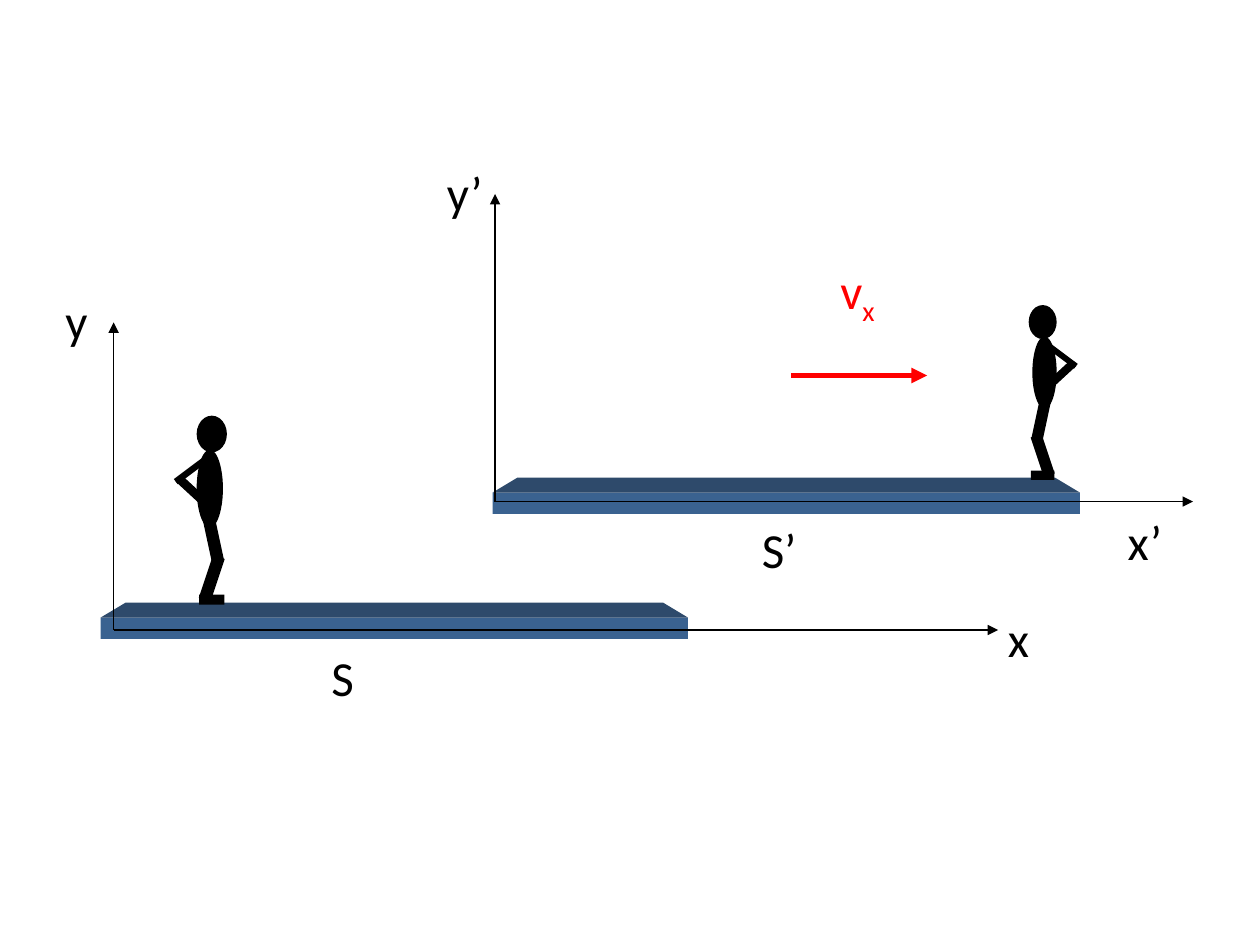
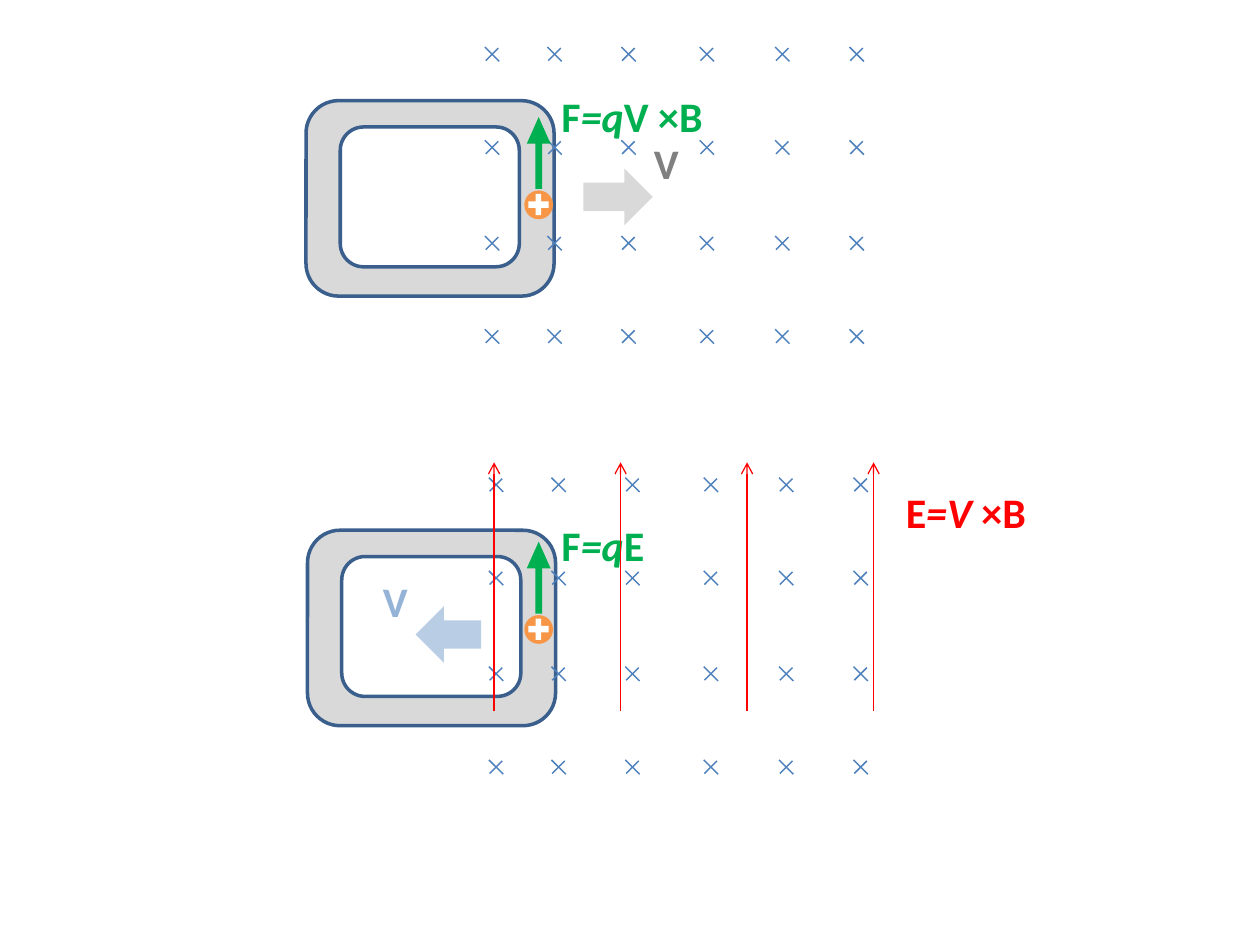
from pptx import Presentation
from pptx.dml.color import RGBColor
from pptx.enum.shapes import MSO_CONNECTOR, MSO_SHAPE
from pptx.enum.text import MSO_AUTO_SIZE
from pptx.oxml.ns import qn
from pptx.util import Cm, Pt
from lxml.etree import SubElement

BLACK = RGBColor(0x00, 0x00, 0x00)
WHITE = RGBColor(0xFF, 0xFF, 0xFF)
RED = RGBColor(0xFF, 0x00, 0x00)
GREEN = RGBColor(0x00, 0xB0, 0x50)
ORANGE = RGBColor(0xF7, 0x96, 0x46)
BLUE = RGBColor(0x4F, 0x81, 0xBD)
PALE = RGBColor(0xB9, 0xCD, 0xE5)
SKY = RGBColor(0x95, 0xB3, 0xD7)
EDGE = RGBColor(0x3A, 0x5F, 0x8C)
FRONT = RGBColor(0x3A, 0x62, 0x90)
TOP = RGBColor(0x2E, 0x4A, 0x6B)
SILVER = RGBColor(0xD9, 0xD9, 0xD9)
GREY = RGBColor(0x80, 0x80, 0x80)
FONT = "Calibri"

# Body parts: shape, centre from the crown of the head, width, height, turn
PARTS = [
    (MSO_SHAPE.OVAL, 0, 0.37, 0.61, 0.74, 0),
    (MSO_SHAPE.OVAL, -0.04, 1.47, 0.53, 1.57, 0),
    (MSO_SHAPE.RECTANGLE, -0.39, 1.08, 0.13, 0.84, 53.2),
    (MSO_SHAPE.RECTANGLE, -0.39, 1.52, 0.18, 0.76, -47.3),
    (MSO_SHAPE.RECTANGLE, 0.03, 2.49, 0.25, 0.91, -12.1),
    (MSO_SHAPE.RECTANGLE, 0, 3.28, 0.25, 0.91, 18.4),
    (MSO_SHAPE.RECTANGLE, 0, 3.71, 0.51, 0.2, 0),
]
COLS = [9.92, 11.18, 12.67, 14.25, 15.77, 17.27]
ROWS = [1.08, 2.96, 4.89, 6.77]


def draw(shapes, kind, x, y, w, h, fill, edge=None, turn=0, adjust=()):
    shape = shapes.add_shape(kind, Cm(x), Cm(y), Cm(w), Cm(h))
    shape.shadow.inherit = False
    shape.fill.solid()
    shape.fill.fore_color.rgb = fill
    if edge is None:
        shape.line.fill.background()
    else:
        shape.line.color.rgb = edge
        shape.line.width = Pt(2)
    shape.rotation = turn
    for i, value in enumerate(adjust):
        shape.adjustments[i] = value
    return shape


def arrow(shapes, x1, y1, x2, y2, color=BLACK, width=0.75, head="triangle"):
    line = shapes.add_connector(MSO_CONNECTOR.STRAIGHT, Cm(x1), Cm(y1), Cm(x2), Cm(y2))
    line.line.color.rgb = color
    line.line.width = Pt(width)
    props = line._element.spPr
    SubElement(props.find(qn("a:ln")), qn("a:tailEnd"), type=head)
    SubElement(props, qn("a:effectLst"))


def write(shapes, text, x, y, w, color=BLACK, size=28, bold=False, italic="", sub=""):
    """Write text; the parts given as italic and sub are set that way."""
    box = shapes.add_textbox(Cm(x), Cm(y), Cm(w), Cm(1.45 if size == 28 else 1.27))
    frame = box.text_frame
    frame.word_wrap = False
    frame.auto_size = MSO_AUTO_SIZE.SHAPE_TO_FIT_TEXT
    mark = italic or sub
    parts = text.partition(mark) if mark else [text]
    for part in filter(None, parts):
        run = frame.paragraphs[0].add_run()
        run.text = part
        font = run.font
        font.name, font.size, font.bold = FONT, Pt(size), bold
        font.color.rgb = color
        if part == italic:
            font.italic = True
        if part == sub:
            run._r.get_or_add_rPr().set("baseline", "-25000")


def platform(shapes, x, y):
    draw(shapes, MSO_SHAPE.RECTANGLE, x, y, 11.84, 0.43, FRONT)
    draw(shapes, MSO_SHAPE.TRAPEZOID, x, y - 0.3, 11.84, 0.3, TOP, adjust=[1.67])


def axes(shapes, x, y, length):
    arrow(shapes, x, y, x, y - 6.2)
    arrow(shapes, x, y, x + length, y)


def person(shapes, x, y, scale=1, side=1):
    """Draw a figure with elbow to the left (side 1) or right (side -1)."""
    group = shapes.add_group_shape().shapes
    for kind, dx, dy, w, h, turn in PARTS:
        w, h = w * scale, h * scale
        left = x + side * dx * scale - w / 2
        draw(group, kind, left, y + dy * scale - h / 2, w, h, BLACK, turn=side * turn)


def loop(shapes, x, y):
    rounded = MSO_SHAPE.ROUNDED_RECTANGLE
    draw(shapes, rounded, x, y, 5, 3.94, SILVER, EDGE)
    draw(shapes, rounded, x + 0.69, y + 0.53, 3.61, 2.82, WHITE, EDGE)


def field(shapes, dx=0, dy=0):
    """Draw the grid of crosses for a field that points into the page."""
    group = shapes.add_group_shape().shapes
    for col in COLS:
        for row in ROWS:
            for width, turn in ((0.41, 45), (0.36, -45)):
                draw(group, MSO_SHAPE.RECTANGLE, col + dx - width / 2, row + dy,
                     width, 0.03, BLUE, turn=turn)


def charge(shapes, x, y):
    """Draw a positive charge with the force arrow above it."""
    group = shapes.add_group_shape().shapes
    draw(group, MSO_SHAPE.OVAL, x, y, 0.58, 0.58, ORANGE)
    draw(group, MSO_SHAPE.CROSS, x + 0.08, y + 0.07, 0.41, 0.43, WHITE, adjust=[0.364])
    draw(shapes, MSO_SHAPE.UP_ARROW, x + 0.05, y - 1.48, 0.48, 1.45, GREEN,
         adjust=[0.286, 1.12])


def frames(shapes):
    """Slide 1: two reference frames in relative motion."""
    platform(shapes, 2.03, 12.45)
    platform(shapes, 9.93, 9.93)
    axes(shapes, 2.29, 12.7, 17.83)
    axes(shapes, 9.98, 10.11, 14.07)
    arrow(shapes, 15.95, 7.57, 18.69, 7.57, RED, 3)
    person(shapes, 21.02, 6.15, 0.925, -1)
    person(shapes, 4.27, 8.38)
    for text, x, y, w in [
        ("y", 1.07, 5.74, 0.97), ("x", 20.07, 12.14, 0.94), ("S", 6.43, 12.93, 0.97),
        ("y’", 8.76, 3.15, 1.27), ("x’", 22.48, 10.19, 1.22), ("S’", 15.11, 10.34, 1.22),
    ]:
        write(shapes, text, x, y, w)
    write(shapes, "vx", 16.69, 5.13, 1.24, RED, sub="x")


def loops(shapes):
    """Slide 2: a moving loop seen from both frames."""
    loop(shapes, 6.2, 10.69)
    loop(shapes, 6.17, 2.03)
    field(shapes)
    field(shapes, 0.08, 8.68)
    draw(shapes, MSO_SHAPE.RIGHT_ARROW, 11.76, 3.4, 1.4, 1.14, SILVER)
    draw(shapes, MSO_SHAPE.LEFT_ARROW, 8.38, 12.22, 1.32, 1.14, PALE)
    charge(shapes, 10.57, 3.84)
    charge(shapes, 10.57, 12.4)
    for text, x, y, w, color, italic in [
        ("V", 12.93, 2.64, 1.02, GREY, ""),
        ("V", 7.47, 11.48, 1.02, SKY, ""),
        ("F=qV ×B", 11.07, 1.7, 3.45, GREEN, "=q"),
        ("F=qE", 11.07, 10.34, 2.21, GREEN, "=q"),
        ("E=V ×B", 18.01, 9.68, 3.02, RED, "=V"),
    ]:
        write(shapes, text, x, y, w, color, size=24, bold=True, italic=italic)
    lines = shapes.add_group_shape().shapes
    for i in range(4):
        x = 9.96 + 2.55 * i
        arrow(lines, x, 14.34, x, 9.32, RED, head="arrow")


def main():
    deck = Presentation()
    deck.slide_width, deck.slide_height = Cm(25.4), Cm(19.05)
    blank = deck.slide_layouts[6]
    for build in (frames, loops):
        build(deck.slides.add_slide(blank).shapes)
    deck.save("out.pptx")


if __name__ == "__main__":
    main()
